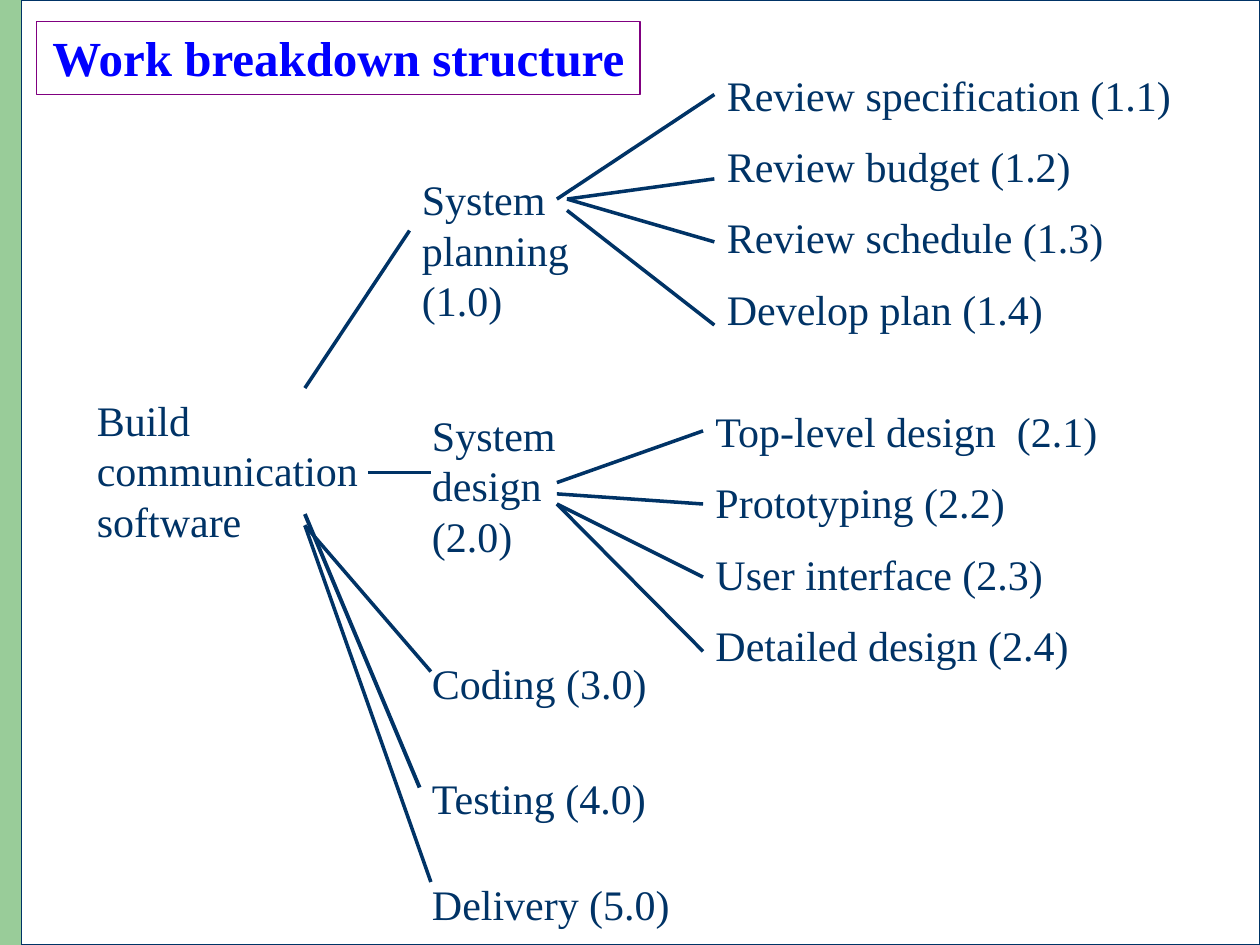
"""Build the work breakdown structure slide."""
from lxml import etree
from pptx import Presentation
from pptx.dml.color import RGBColor
from pptx.enum.shapes import MSO_CONNECTOR, MSO_SHAPE
from pptx.enum.text import MSO_ANCHOR, PP_ALIGN
from pptx.oxml.ns import qn
from pptx.util import Inches, Pt

RECTANGLE = MSO_SHAPE.RECTANGLE
STRAIGHT = MSO_CONNECTOR.STRAIGHT
TOP = MSO_ANCHOR.TOP
LEFT, CENTER = PP_ALIGN.LEFT, PP_ALIGN.CENTER
NAVY, GREEN, WHITE, BLUE, PURPLE = "003366", "99CC99", "FFFFFF", "0000FF", "800080"

TITLE = "Work breakdown structure"
TASKS = [
    (0.67, 3.08, 2.33, 1.3, ["Build communication software"]),
    (3.25, 1.33, 1.75, 1.3, ["System planning (1.0)"]),
    (3.33, 3.2, 1.42, 1.3, ["System design (2.0)"]),
    (3.33, 5.17, 2.08, 0.5, ["Coding (3.0)"]),
    (3.33, 6.08, 2.5, 0.5, ["Testing (4.0)"]),
    (3.33, 6.92, 2.5, 0.5, ["Delivery (5.0)"]),
    (5.67, 0.5, 4.25, 2.3, ["Review specification (1.1)", "Review budget (1.2)",
                            "Review schedule (1.3)", "Develop plan (1.4)"]),
    (5.58, 3.17, 3.58, 2.3, ["Top-level design  (2.1)", "Prototyping (2.2)",
                             "User interface (2.3)", "Detailed design (2.4)"]),
]
PROJECT_BRANCHES = [
    (2.42, 3.08, 3.25, 1.83, 2),
    (2.92, 3.75, 3.42, 3.75, 2),
    (2.42, 4.17, 3.42, 5.33, 2),
    (2.42, 4.08, 3.33, 6.25, 2.25),
    (2.42, 4.17, 3.42, 7, 2),
]
PLANNING_BRANCHES = [(4.42, 1.58, 0.75), (4.5, 1.58, 1.42), (4.5, 1.58, 1.92), (4.5, 1.67, 2.58)]
DESIGN_BRANCHES = [(4.42, 3.83, 3.42), (4.42, 3.92, 4), (4.42, 4, 4.58), (4.42, 4, 5.17)]


def color(value):
    return RGBColor.from_string(value)


def add_panel(slide, box, fill=None, line=None):
    panel = slide.shapes.add_shape(RECTANGLE, *map(Inches, box))
    panel.shadow.inherit = False
    if fill:
        panel.fill.solid()
        panel.fill.fore_color.rgb = color(fill)
    else:
        panel.fill.background()
    if line:
        panel.line.color.rgb = color(line)
        panel.line.width = Pt(0.75)
    else:
        panel.line.fill.background()
    return panel


def write(frame, lines, size, tint, bold=False, wrap=True, align=LEFT):
    frame.word_wrap = wrap
    frame.vertical_anchor = TOP
    font_format = {"name": "Times New Roman", "size": Pt(size), "bold": bold}
    for index, line in enumerate(lines):
        paragraph = frame.add_paragraph() if index else frame.paragraphs[0]
        paragraph.alignment = align
        if index:
            paragraph.space_before = Pt(size / 2)
        run = paragraph.add_run()
        run.text = line
        for key, value in font_format.items():
            setattr(run.font, key, value)
        run.font.color.rgb = color(tint)


def add_branch(slide, x1, y1, x2, y2, width):
    branch = slide.shapes.add_connector(STRAIGHT, *map(Inches, (x1, y1, x2, y2)))
    branch.line.color.rgb = color(NAVY)
    branch.line.width = Pt(width)
    etree.SubElement(branch._element.spPr, qn("a:effectLst"))


def main():
    deck = Presentation()
    deck.slide_width, deck.slide_height = Inches(10), Inches(7.5)
    slide = deck.slides.add_slide(deck.slide_layouts[6])

    add_panel(slide, (0, 0, 0.81, 7.5), fill=GREEN)
    add_panel(slide, (0.17, 0, 9.83, 7.5), fill=WHITE, line=NAVY)
    for *box, lines in TASKS:
        task = slide.shapes.add_textbox(*map(Inches, box))
        write(task.text_frame, lines, 24, NAVY)

    subtask_branches = [
        (x, y, end_x, end_y, 2)
        for end_x, branches in ((5.67, PLANNING_BRANCHES), (5.58, DESIGN_BRANCHES))
        for x, y, end_y in branches
    ]
    for branch in PROJECT_BRANCHES + subtask_branches:
        add_branch(slide, *branch)

    title = add_panel(slide, (0.29, 0.17, 4.79, 0.58), line=PURPLE)
    write(title.text_frame, [TITLE], 28, BLUE, bold=True, wrap=False, align=CENTER)
    deck.save("out.pptx")


if __name__ == "__main__":
    main()
